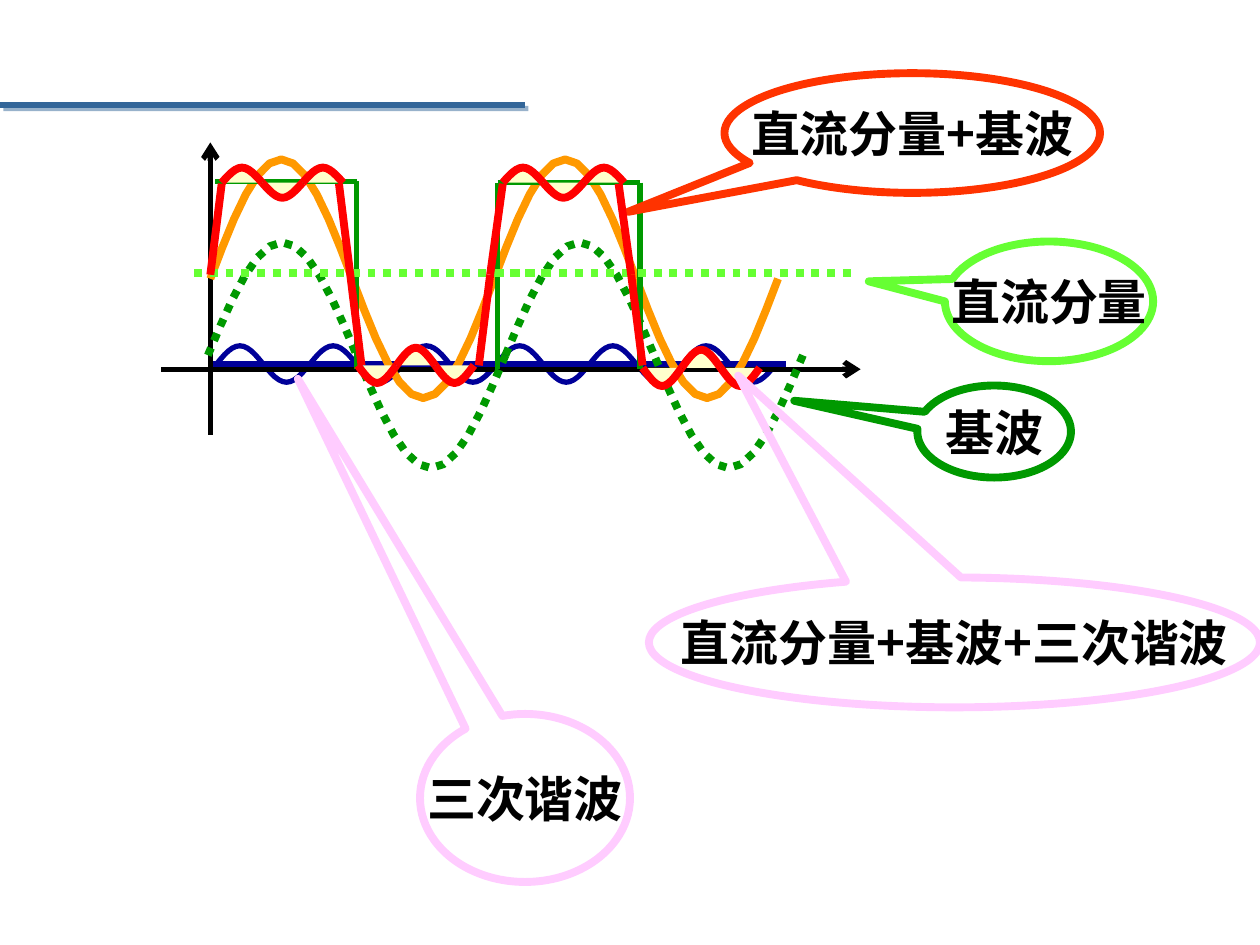
import math

import lxml.etree
import pptx
import pptx.dml.color
import pptx.enum.dml
import pptx.enum.shapes
import pptx.enum.text
import pptx.oxml.ns
import pptx.util

Pt = pptx.util.Pt
FONT = "Noto Sans CJK SC"
NAVY, BLACK, ORANGE, GREEN = "000099", "000000", "FF9900", "009900"
LIME, VERMILION, PINK, RED, CREAM = "66FF33", "FF3300", "FFCCFF", "FF0000", "FFFFCC"
STEPS = 12


def color(hex_string):
    return pptx.dml.color.RGBColor.from_string(hex_string)


def add_element(parent, tag, **attributes):
    return lxml.etree.SubElement(parent, pptx.oxml.ns.qn(tag), attributes)


def style_line(shape, line_color, width, dotted=False):
    shape.line.color.rgb = color(line_color)
    shape.line.width = Pt(width)
    if dotted:
        shape.line.dash_style = pptx.enum.dml.MSO_LINE.ROUND_DOT


def add_line(slide, start, end, line_color, width=3, dotted=False, arrow=False):
    """Draw a straight line and return its empty effect list."""
    line = slide.shapes.add_connector(
        pptx.enum.shapes.MSO_CONNECTOR.STRAIGHT, *map(Pt, start + end))
    style_line(line, line_color, width, dotted)
    if arrow:
        add_element(line.line._get_or_add_ln(), "a:tailEnd", type="arrow")
    return add_element(line._element.spPr, "a:effectLst")


def add_header_rule(slide):
    effects = add_line(slide, (0, 60), (300, 60), "336699")
    shadow = add_element(effects, "a:outerShdw", blurRad="0",
                         dist=str(Pt(2.8)), dir="2700000", algn="ctr")
    shade = add_element(shadow, "a:srgbClr", val="336699")
    add_element(shade, "a:alpha", val="50000")


def sine(part):
    return math.sin(math.pi * part)


def cubic_lobe(part):
    rise = 1 - abs(2 * part - 1)
    return 1.5 * rise - 0.5 * rise ** 3


def add_half_wave(slide, left, base, width, height, line_color, line_width=4.5,
                  dotted=False, fill=None, profile=sine):
    """Draw one crest, or one trough (from right to left) if height is negative."""
    parts = [step / STEPS for step in range(STEPS + 1)]
    if height < 0:
        parts.reverse()
    points = [(Pt(left + width * part), Pt(base - height * profile(part)))
              for part in parts]
    builder = slide.shapes.build_freeform(*points[0])
    builder.add_line_segments(points[1:], close=False)
    wave = builder.convert_to_shape()
    wave.shadow.inherit = False
    style_line(wave, line_color, line_width, dotted)
    if fill:
        wave.fill.solid()
        wave.fill.fore_color.rgb = color(fill)
    else:
        wave.fill.background()


def add_wave(slide, left, base, width, height, count, line_color, **options):
    """Draw count half waves side by side, with alternating signs."""
    for index in range(count):
        add_half_wave(slide, left + index * width, base, width,
                      height * (-1) ** index, line_color, **options)


def add_callout(slide, text, position, size, pointer, line_color):
    box = slide.shapes.add_shape(
        pptx.enum.shapes.MSO_SHAPE.OVAL_CALLOUT, *map(Pt, position + size))
    box.adjustments[0], box.adjustments[1] = pointer
    box.shadow.inherit = False
    box.fill.background()
    style_line(box, line_color, 4.5)
    frame = box.text_frame
    frame.text = text
    frame.word_wrap = False
    frame.vertical_anchor = pptx.enum.text.MSO_ANCHOR.MIDDLE
    para = frame.paragraphs[0]
    para.alignment = pptx.enum.text.PP_ALIGN.CENTER
    span = para.runs[0]
    span.font.size = Pt(28)
    span.font.bold = True
    span.font.name = FONT
    span.font.color.rgb = color(BLACK)
    add_element(span.font._element, "a:ea", typeface=FONT)


def add_third_harmonic(slide):
    pitch = 53.28
    for cycle in range(6):
        left = 123.8 + cycle * pitch
        add_line(slide, (left - 3.6, 208), (left + 59, 208), NAVY)
        add_wave(slide, left, 208, pitch / 2, 10.4, 2, NAVY, line_width=3)


def add_axes(slide):
    add_line(slide, (120.2, 248.4), (120.2, 81.4), BLACK, arrow=True)
    add_line(slide, (92.2, 211), (491.8, 211), BLACK, arrow=True)


def add_square_wave(slide):
    middle, bottom = 157.3, 211
    for left, right, top, edges in ((284.4, 365.8, 104.4, (284.4, 365.8)),
                                    (123.1, 203.8, 103.7, (203.8,))):
        for edge in edges:
            add_line(slide, (edge, top), (edge, middle), GREEN)
            add_line(slide, (edge, middle), (edge, bottom), GREEN)
        add_line(slide, (left, top), (right, top), GREEN)


def add_sum_wave(slide):
    """Draw the rippled sum of direct component, fundamental and third harmonic."""
    flanks = (((120.2, 157), (126.7, 105)), ((193.7, 105), (206.6, 208.8)),
              ((353.5, 105), (360.7, 157)), ((287.3, 105), (280.1, 157)),
              ((273.6, 208.8), (280.1, 157)), ((360.7, 157), (367.2, 208.8)))
    for start, end in flanks:
        add_line(slide, start, end, RED, 4.5)
    ripples = ((126.7, 104.4, 23.1, 8.64), (204.5, 208.8, 22.1, -10.1),
               (287.3, 104.4, 23.1, 8.64), (367.2, 210.2, 22.3, -10.4))
    for left, base, width, height in ripples:
        add_wave(slide, left, base, width, height, 3, RED,
                 fill=CREAM, profile=cubic_lobe)


def main():
    deck = pptx.Presentation()
    deck.slide_width, deck.slide_height = Pt(720), Pt(540)
    slide = deck.slides.add_slide(deck.slide_layouts[6])
    add_header_rule(slide)
    add_third_harmonic(slide)
    add_axes(slide)
    add_wave(slide, 120.2, 159.3, 81.1, 68.2, 4, ORANGE)
    add_square_wave(slide)
    add_wave(slide, 118.8, 203, 85, 64.5, 4, GREEN, dotted=True)
    add_callout(slide, "基波", (524.2, 220.3), (87.8, 52.6), (-1.302, -0.334), GREEN)
    for left in (110.9, 283.4):
        add_line(slide, (left, 156.2), (left + 203, 156.2), LIME, 4.5, dotted=True)
    add_callout(slide, "直流分量", (540, 138), (119, 68.4), (-0.866, -0.167), LIME)
    add_callout(slide, "直流分量+基波", (414, 41.8), (214.6, 68.4),
                (-0.757, 0.659), VERMILION)
    add_callout(slide, "三次谐波", (240, 408), (120, 96), (-1.082, -2.495), PINK)
    add_sum_wave(slide)
    add_callout(slide, "直流分量+基波+三次谐波", (370.8, 330), (349.2, 74.2),
                (-0.354, -2.054), PINK)
    deck.save("out.pptx")


if __name__ == "__main__":
    main()
